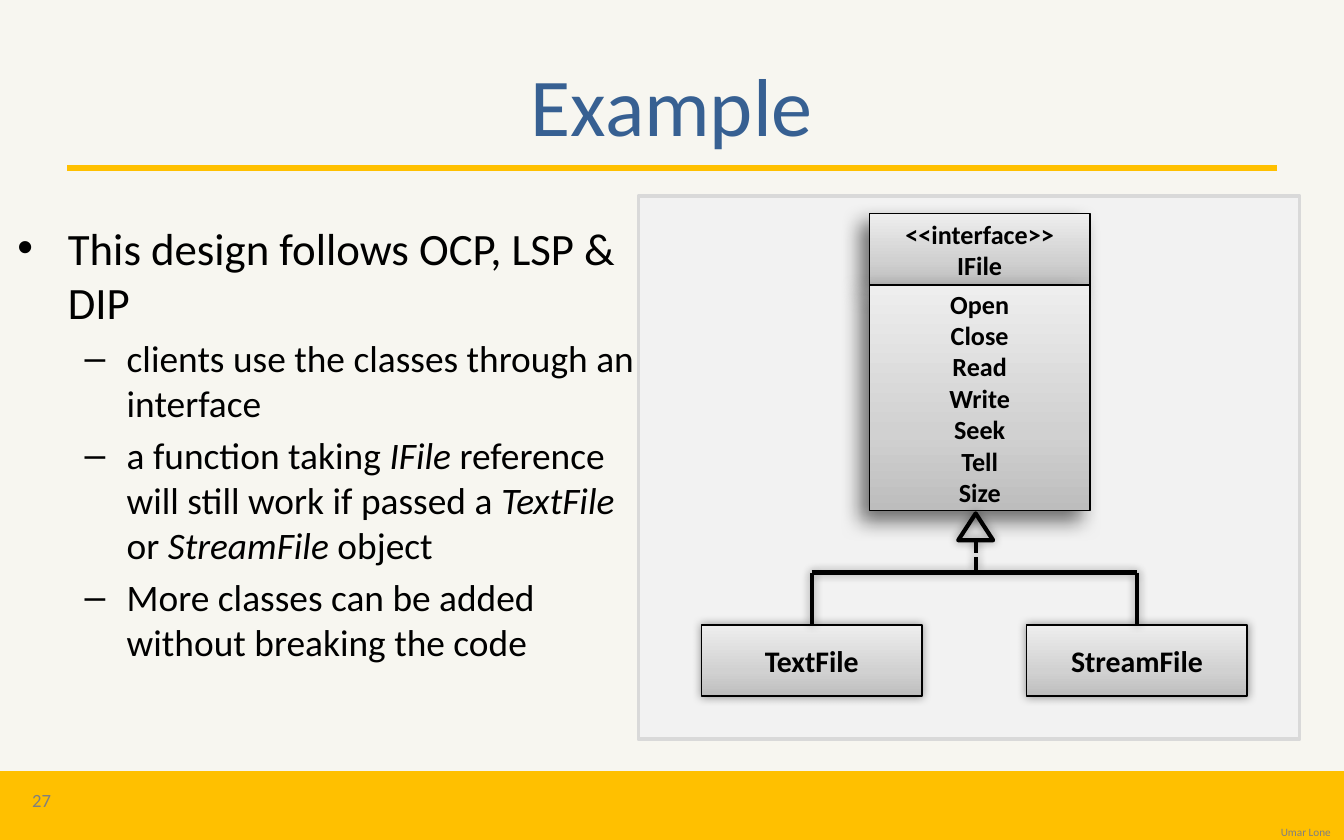
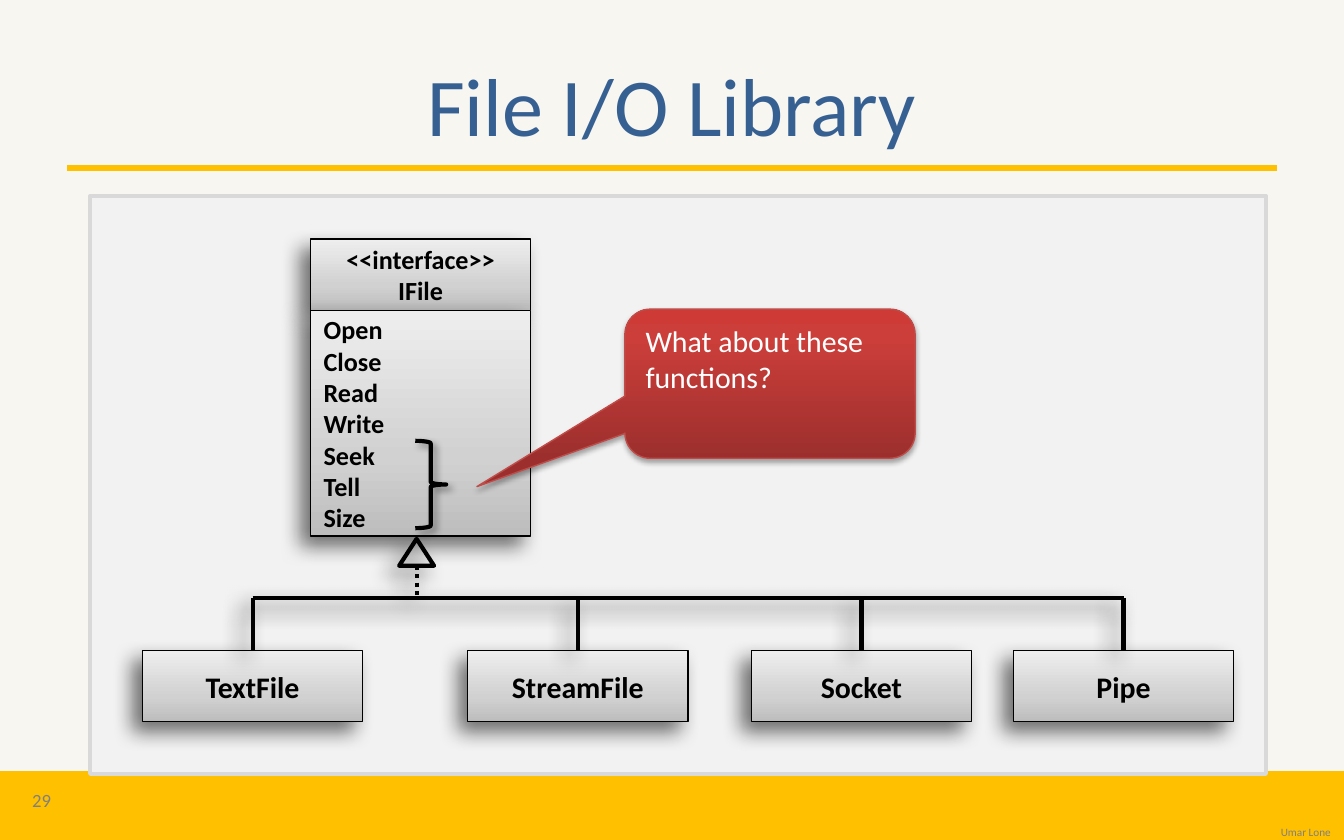
from lxml.etree import SubElement
from pptx import Presentation
from pptx.dml.color import RGBColor
from pptx.enum.dml import MSO_LINE
from pptx.enum.shapes import MSO_CONNECTOR, MSO_SHAPE
from pptx.enum.text import MSO_ANCHOR, PP_ALIGN
from pptx.oxml.ns import qn
from pptx.util import Inches, Pt

COLORS = {
    "page": "F7F6F0",
    "band": "FFC000",
    "title": "376092",
    "text": "000000",
    "muted": "808080",
    "panel": "F2F2F2",
    "panel edge": "D9D9D9",
    "callout edge": "BF4C48",
    "callout text": "FFFFFF",
}
# Gradient stops run from the bottom of a shape to its top.
SILVER = [(0, "BDBDBD"), (35, "D1D1D1"), (100, "EEEEEE")]
RED = [(0, "9C2F2D"), (80, "CB3E3A"), (100, "CE3B37")]
# Shadows: opacity in percent, blur and distance in points, direction in degrees.
SOFT = (40, 5, 0, 0)
DEEP = (54, 11, 7, 135)
CALLOUT_SHADOW = (35, 3.1, 1.8, 90)
BRACE_SHADOW = (40, 4, 3, 45)

BOX_WIDTH, HEADER_HEIGHT, METHODS_HEIGHT = 1.64, 0.53, 1.68
METHODS = ["Open", "Close", "Read", "Write", "Seek", "Tell", "Size"]
ITALIC = {"italic": True}


def rgb(name):
    return RGBColor.from_string(COLORS[name])


def write(frame, paragraphs, align=None, anchor=None, **style):
    """Fill a frame; a paragraph is a string or a list of strings and (text, style) pairs."""
    frame.word_wrap = True
    if anchor is not None:
        frame.vertical_anchor = anchor
    for index, content in enumerate(paragraphs):
        para = frame.paragraphs[0] if index == 0 else frame.add_paragraph()
        para.alignment = align
        for piece in [content] if isinstance(content, str) else content:
            text, changes = (piece, {}) if isinstance(piece, str) else piece
            look = {"size": 16, "color": "text", **style, **changes}
            span = para.add_run()
            span.text = text
            span.font.name = "Calibri"
            span.font.size = Pt(look["size"])
            span.font.bold = look.get("bold")
            span.font.italic = look.get("italic")
            span.font.color.rgb = rgb(look["color"])


def place(shape, left, top, width, height):
    shape.left, shape.top = Inches(left), Inches(top)
    shape.width, shape.height = Inches(width), Inches(height)


def add_shadow(shape, shadow):
    """Replace the theme's effects by the given shadow, or by none."""
    effects = SubElement(shape._element.spPr, qn("a:effectLst"))
    if shadow:
        opacity, blur, distance, direction = shadow
        outer = SubElement(
            effects, qn("a:outerShdw"), blurRad=str(Pt(blur)), dist=str(Pt(distance)),
            dir=str(direction * 60000), algn="ctr", rotWithShape="0")
        color = SubElement(outer, qn("a:srgbClr"), val=COLORS["text"])
        SubElement(color, qn("a:alpha"), val=str(opacity * 1000))


def fill_gradient(shape, stops):
    shape.fill.gradient()
    stop_list = shape._element.spPr.find(".//" + qn("a:gsLst"))
    for old_stop in list(stop_list):
        stop_list.remove(old_stop)
    for position, color in stops:
        stop = SubElement(stop_list, qn("a:gs"), pos=str(position * 1000))
        SubElement(stop, qn("a:srgbClr"), val=color)
    shape.fill.gradient_angle = 90


class SlideBuilder:
    def __init__(self, deck):
        self.deck = deck
        background = deck.slide_master.background.fill
        background.solid()
        background.fore_color.rgb = rgb("page")

    def start(self, title, number, layout):
        """Add a page with its title, band, rule, author and number."""
        self.page = self.deck.slides.add_slide(self.deck.slide_layouts.get_by_name(layout))
        heading = self.page.shapes.title
        place(heading, 0.5, 0.25, 9, 1.04)
        write(heading.text_frame, [title], align=PP_ALIGN.CENTER,
              anchor=MSO_ANCHOR.MIDDLE, size=44, color="title")
        self.shape(MSO_SHAPE.RECTANGLE, 0, 5.75, 10, 0.5, fill="band", line="band", weight=2)
        self.line((0.5, 1.25), (9.5, 1.25), color="band", weight=3)
        self.text(["Umar Lone"], 8.67, 6.12, 1.33, 0.17, align=PP_ALIGN.RIGHT,
                  anchor=MSO_ANCHOR.BOTTOM, size=6, color="muted")
        self.text([number], 0.03, 5.79, 0.56, 0.33, align=PP_ALIGN.CENTER,
                  anchor=MSO_ANCHOR.MIDDLE, size=10, color="muted")

    def text(self, paragraphs, left, top, width, height, **style):
        box = self.page.shapes.add_textbox(
            Inches(left), Inches(top), Inches(width), Inches(height))
        write(box.text_frame, paragraphs, **style)

    def bullets(self, paragraphs, left, top, width, height):
        """Fill the body placeholder: one main point, then its sub-points."""
        body = self.page.placeholders[1]
        place(body, left, top, width, height)
        write(body.text_frame, paragraphs, size=20)
        for para in body.text_frame.paragraphs[1:]:
            para.level = 1

    def shape(self, kind, left, top, width, height, fill=None, line="text",
              weight=0.75, shadow=None, parent=None):
        """Draw a preset shape; fill is a colour name, a list of stops or None."""
        shapes = (parent or self.page).shapes
        shape = shapes.add_shape(
            kind, Inches(left), Inches(top), Inches(width), Inches(height))
        if fill is None:
            shape.fill.background()
        elif isinstance(fill, str):
            shape.fill.solid()
            shape.fill.fore_color.rgb = rgb(fill)
        else:
            fill_gradient(shape, fill)
        shape.line.color.rgb = rgb(line)
        shape.line.width = Pt(weight)
        add_shadow(shape, shadow)
        return shape

    def line(self, start, end, color="text", weight=2.25, dash=None, shadow=None):
        points = [Inches(value) for value in (*start, *end)]
        line = self.page.shapes.add_connector(MSO_CONNECTOR.STRAIGHT, *points)
        line.line.color.rgb = rgb(color)
        line.line.width = Pt(weight)
        if dash is not None:
            line.line.dash_style = dash
        add_shadow(line, shadow)
        return line

    def panel(self, left, top, width, height):
        self.shape(MSO_SHAPE.RECTANGLE, left, top, width, height,
                   fill="panel", line="panel edge", weight=2)

    def class_box(self, lines, left, top, height=HEADER_HEIGHT, size=16,
                  align=PP_ALIGN.CENTER, shadow=DEEP, parent=None):
        box = self.shape(MSO_SHAPE.RECTANGLE, left, top, BOX_WIDTH, height,
                         fill=SILVER, shadow=shadow, parent=parent)
        write(box.text_frame, lines, align=align, anchor=MSO_ANCHOR.MIDDLE,
              size=size, bold=True)
        return box

    def hierarchy(self, left, top, classes, align, dash, shadow):
        """Draw IFile at left, top and the classes (name to left edge) that implement it."""
        interface = self.page.shapes.add_group_shape()
        self.class_box(["<<interface>>", "IFile"], left, top, size=14, parent=interface)
        self.class_box(METHODS, left, top + HEADER_HEIGHT, METHODS_HEIGHT,
                       size=14, align=align, parent=interface)

        arrow_left, arrow_top = left + 0.66, top + 2.23
        bar_top, class_top = top + 2.67, top + 3.06
        self.shape(MSO_SHAPE.ISOSCELES_TRIANGLE, arrow_left, arrow_top, 0.26, 0.2,
                   weight=2.25, shadow=shadow)
        center = arrow_left + 0.13
        self.line((center, arrow_top + 0.2), (center, bar_top), dash=dash, shadow=shadow)
        centers = [class_left + BOX_WIDTH / 2 for class_left in classes.values()]
        self.line((centers[0], bar_top), (centers[-1], bar_top), shadow=shadow)
        for (name, class_left), center in zip(classes.items(), centers):
            box = self.class_box([name], class_left, class_top, shadow=shadow)
            branch = self.line((center, bar_top), (center, class_top), shadow=shadow)
            branch.end_connect(box, 0)

    def callout(self, text, left, top, width, height, adjustments):
        box = self.shape(MSO_SHAPE.ROUNDED_RECTANGULAR_CALLOUT, left, top, width, height,
                         fill=RED, line="callout edge", shadow=CALLOUT_SHADOW)
        for index, value in enumerate(adjustments):
            box.adjustments[index] = value
        write(box.text_frame, [text], align=PP_ALIGN.LEFT,
              anchor=MSO_ANCHOR.TOP, color="callout text")


def build_example(builder):
    builder.start("Example", "27", "Title and Content")
    builder.bullets([
        [("This design follows OCP, LSP & DIP", {"size": 24})],
        "clients use the classes through an interface",
        ["a function taking ", ("IFile", ITALIC),
         " reference will still work if passed a ", ("TextFile", ITALIC),
         " or ", ("StreamFile", ITALIC), " object"],
        "More classes can be added without breaking the code",
    ], 0.03, 1.59, 4.81, 4.15)
    builder.panel(4.75, 1.46, 4.92, 4.04)
    builder.hierarchy(6.47, 1.59, {"TextFile": 5.22, "StreamFile": 7.64},
                      align=PP_ALIGN.CENTER, dash=MSO_LINE.SQUARE_DOT, shadow=SOFT)


def build_library(builder):
    builder.start("File I/O Library", "29", "Title Only")
    builder.panel(0.67, 1.46, 8.75, 4.3)
    classes = {"TextFile": 1.06, "StreamFile": 3.48, "Socket": 5.59, "Pipe": 7.54}
    builder.hierarchy(2.31, 1.78, classes,
                      align=PP_ALIGN.LEFT, dash=MSO_LINE.ROUND_DOT, shadow=DEEP)
    builder.callout("What about these functions?", 4.65, 2.3, 2.16, 1.11,
                    adjustments=(-1.01, 0.69, 0.17))
    builder.shape(MSO_SHAPE.RIGHT_BRACE, 3.09, 3.28, 0.23, 0.65,
                  weight=2.25, shadow=BRACE_SHADOW)


def main():
    deck = Presentation()
    deck.slide_width, deck.slide_height = Inches(10), Inches(6.25)
    builder = SlideBuilder(deck)
    build_example(builder)
    build_library(builder)
    deck.save("out.pptx")


if __name__ == "__main__":
    main()
